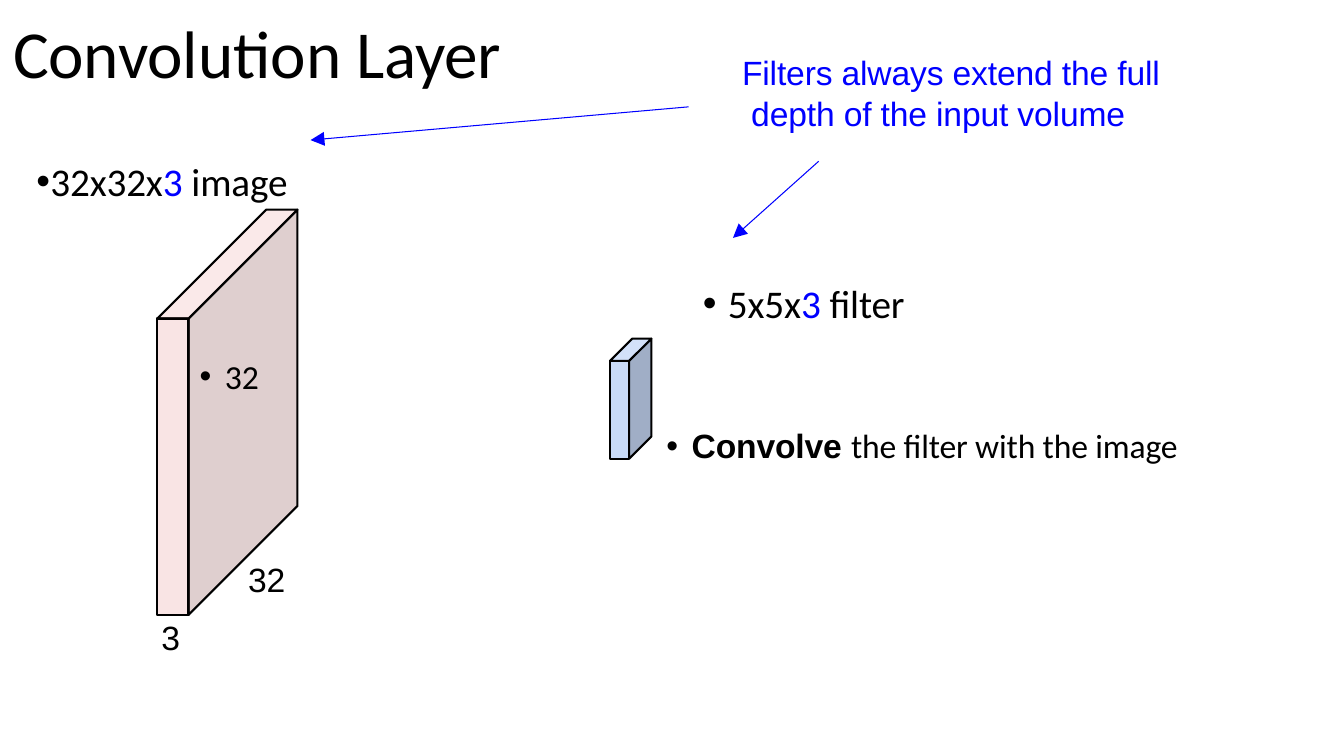
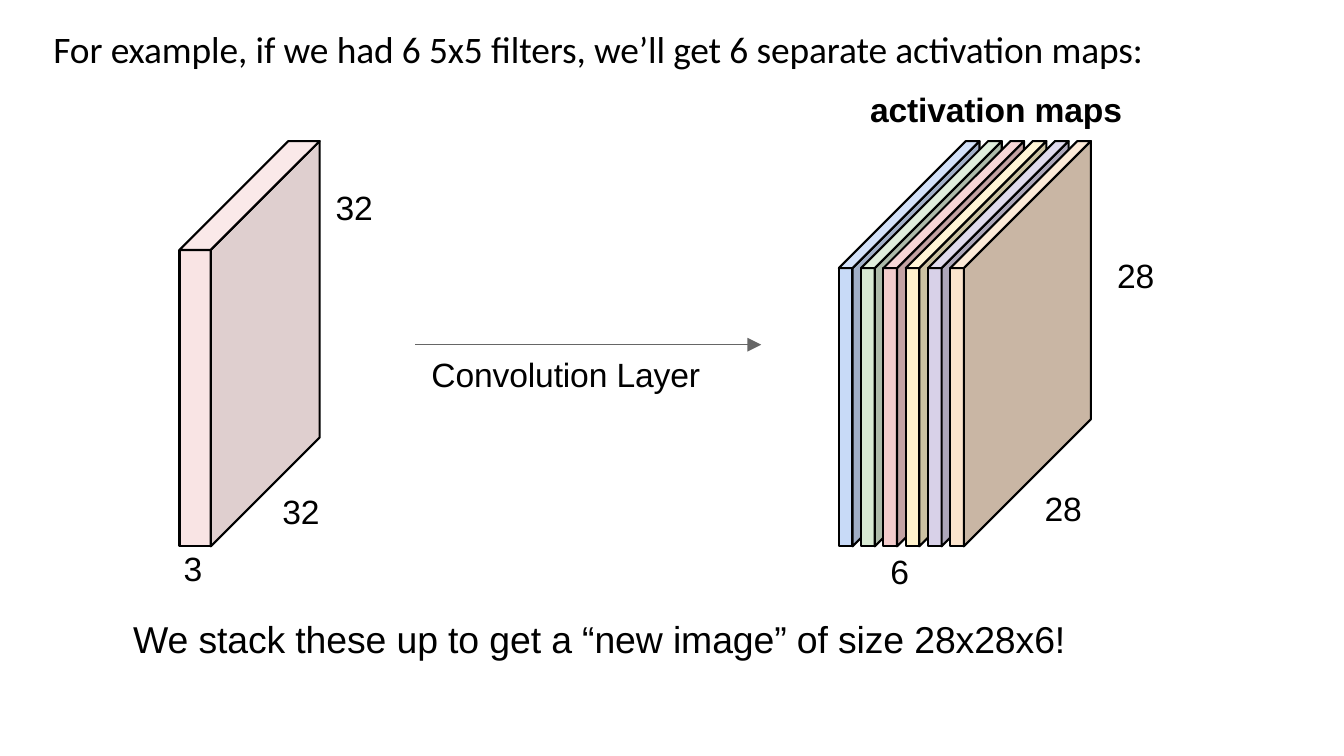
from lxml import etree
from pptx import Presentation
from pptx import util as u
from pptx.dml.color import RGBColor
from pptx.enum import shapes, text
from pptx.oxml.ns import qn

SLIDE_W, SLIDE_H = u.Inches(13.33), u.Inches(7.5)
CELL = SLIDE_H / 75  # square grid: 75 rows, about 133 columns

BLACK = RGBColor(0x00, 0x00, 0x00)
BLUE = RGBColor(0x00, 0x00, 0xFF)
GREY = RGBColor(0x66, 0x66, 0x66)
PINK = RGBColor(0xF4, 0xCC, 0xCC)
SKY = RGBColor(0xC8, 0xDA, 0xF7)
GREEN = RGBColor(0xD8, 0xE9, 0xD3)
YELLOW = RGBColor(0xFF, 0xF2, 0xCC)
VIOLET = RGBColor(0xD8, 0xD1, 0xE8)
ORANGE = RGBColor(0xFB, 0xE4, 0xCD)
MAP_COLOURS = [SKY, GREEN, PINK, YELLOW, VIOLET, ORANGE]

FRAME = dict(margin_left=u.Inches(0.02), margin_top=u.Inches(0.02),
             margin_right=0, margin_bottom=0, word_wrap=True,
             auto_size=text.MSO_AUTO_SIZE.NONE)
LABEL = dict(name="Arial", size=u.Pt(24), bold=False)
STRONG = {**LABEL, "bold": True}
CLOSING = {**LABEL, "size": u.Pt(26.7)}
LIST = dict(name="Calibri", size=u.Pt(28), bold=False)
LIST_SMALL = {**LIST, "size": u.Pt(24)}

IMAGE = dict(w=3.1, h=29.4, depth=10.8, colour=PINK, opacity=52)
FILTER = dict(w=1.9, h=9.7, depth=2.2, colour=SKY)
MAP = dict(w=1.35, h=27.6, depth=12.6)


def grid(*cells):
    return [u.Emu(round(n * CELL)) for n in cells]


def set_all(target, values):
    for name, value in values.items():
        setattr(target, name, value)


def add_run(p, words, font, colour=BLACK):
    r = p.add_run()
    r.text = words
    set_all(r.font, font)
    r.font.color.rgb = colour
    r.font._element.set("spc", "-10")


def add_label(s, box, words, font=LABEL, colour=BLACK):
    """Put each item of words on its own line."""
    tf = s.shapes.add_textbox(*grid(*box)).text_frame
    set_all(tf, FRAME)
    p = tf.paragraphs[0]
    p.space_before = u.Pt(1.3)
    for i, line in enumerate(words):
        if i:
            p.add_line_break()
        add_run(p, line, font, colour)


def place(sp, box):
    set_all(sp, dict(zip(("left", "top", "width", "height"), grid(*box))))
    set_all(sp.text_frame, FRAME)


def set_title(s, box, words, size):
    place(s.shapes.title, box)
    tf = s.shapes.title.text_frame
    tf.vertical_anchor = text.MSO_ANCHOR.MIDDLE
    p = tf.paragraphs[0]
    set_all(p, dict(alignment=text.PP_ALIGN.LEFT, space_before=u.Pt(1.3)))
    add_run(p, words, {**LIST, "size": u.Pt(size)})


def fill_list(body, items):
    """Each item is (indent, hang, space before, runs), the first two in cells."""
    tf = body.text_frame
    for i, (indent, hang, before, runs) in enumerate(items):
        p = tf.add_paragraph() if i else tf.paragraphs[0]
        set_all(p, dict(alignment=text.PP_ALIGN.LEFT, space_before=u.Pt(before)))
        margin, first = grid(indent, -hang)
        pPr = p._p.get_or_add_pPr()
        pPr.set("marL", str(margin))
        pPr.set("indent", str(first))
        for run in runs:
            add_run(p, *run)


def add_face(s, points, colour, opacity):
    start, *rest = [grid(*point) for point in points]
    builder = s.shapes.build_freeform(*start)
    builder.add_line_segments(rest, close=True)
    sp = builder.convert_to_shape()
    sp.shadow.inherit = False
    sp.fill.solid()
    sp.fill.fore_color.rgb = colour
    if opacity < 100:
        clr = sp._element.spPr.find(qn("a:solidFill"))[0]
        etree.SubElement(clr, qn("a:alpha"), val=str(opacity * 1000))
    sp.line.color.rgb = BLACK
    sp.line.width = u.Pt(1.5)


def add_slab(s, x, y, w, h, depth, colour, opacity=100):
    """Draw a box seen from the front left, its side darker and its top lighter."""
    dark = RGBColor(*(round(c * 0.8) for c in colour))
    light = RGBColor(*(round(c + (255 - c) * 0.2) for c in colour))
    edge, back, front, foot = x + w, x + w + depth, y + depth, y + depth + h
    faces = [
        ([(x, front), (edge, front), (edge, foot), (x, foot)], colour),
        ([(edge, foot), (edge, front), (back, y), (back, y + h)], dark),
        ([(edge, front), (x, front), (x + depth, y), (back, y)], light),
    ]
    for points, shade in faces:
        add_face(s, points, shade, opacity)


def add_arrow(s, start, end, colour):
    cx = s.shapes.add_connector(shapes.MSO_CONNECTOR.STRAIGHT, *grid(*start, *end))
    cx.line.color.rgb = colour
    cx.line.width = u.Pt(0.75)
    spPr = cx._element.spPr
    etree.SubElement(spPr.find(qn("a:ln")), qn("a:tailEnd"),
                     type="triangle", w="lg", len="lg")
    etree.SubElement(spPr, qn("a:effectLst"))


def filter_slide(prs):
    s = prs.slides.add_slide(prs.slide_layouts[1])
    set_title(s, (1.1, 0.9, 54.1, 8.3), "Convolution Layer", 48)
    add_slab(s, 15.6, 20.8, **IMAGE)
    add_slab(s, 60.5, 33.6, **FILTER)

    body = s.placeholders[1]
    place(body, (3.4, 15.4, 125, 31.4))
    body._element.getparent().append(body._element)  # list lies over the slabs
    fill_list(body, [
        (1.4, 1.4, 1.3, [("32x32x", LIST), ("3 ", LIST, BLUE), ("image", LIST)]),
        (68.6, 2.5, 53.6, [("5x5x", LIST), ("3 ", LIST, BLUE), ("filter", LIST)]),
        (18.7, 2.5, 20.7, [("32", LIST_SMALL)]),
        (65, 2.5, 21.1, [("Convolve ", STRONG),
                         ("the filter with the image", LIST_SMALL)]),
    ])

    add_label(s, (73.4, 5, 44, 8.3),
              ["Filters always extend the full", " depth of the input volume"],
              colour=BLUE)
    add_arrow(s, (81.2, 16), (72.7, 23.6), BLUE)
    add_arrow(s, (68.3, 10.6), (30.8, 13.9), BLUE)
    add_label(s, (24.4, 55.2, 4.1, 4.2), ["32"])
    add_label(s, (15.8, 61, 2.2, 4.2), ["3"])


def maps_slide(prs):
    s = prs.slides.add_slide(prs.slide_layouts[5])
    set_title(s, (5.1, 2.4, 119.4, 4.7),
              "For example, if we had 6 5x5 filters, "
              "we’ll get 6 separate activation maps:", 26.7)
    add_slab(s, 17.8, 14, **IMAGE)
    for i, colour in enumerate(MAP_COLOURS):
        add_slab(s, 83.2 + 2.21 * i, 14, **MAP, colour=colour)
    add_arrow(s, (41.2, 34.2), (75.5, 34.2), GREY)

    for x, y, w, words in [
        (27.8, 48.5, 4.1, "32"), (33.1, 18.3, 4.1, "32"), (18, 54.2, 2.2, "3"),
        (42.6, 34.9, 28, "Convolution Layer"), (88.1, 54.5, 2.2, "6"),
        (103.4, 48.2, 4.1, "28"), (110.6, 25.1, 4.1, "28"),
    ]:
        add_label(s, (x, y, w, 4.2), [words])
    add_label(s, (86.1, 8.6, 27, 4.2), ["activation maps"], STRONG)
    add_label(s, (13, 60.9, 96, 4.7),
              ["We stack these up to get a “new image” of size 28x28x6!"], CLOSING)


def main():
    prs = Presentation()
    prs.slide_width, prs.slide_height = SLIDE_W, SLIDE_H
    filter_slide(prs)
    maps_slide(prs)
    prs.save("out.pptx")


if __name__ == "__main__":
    main()
